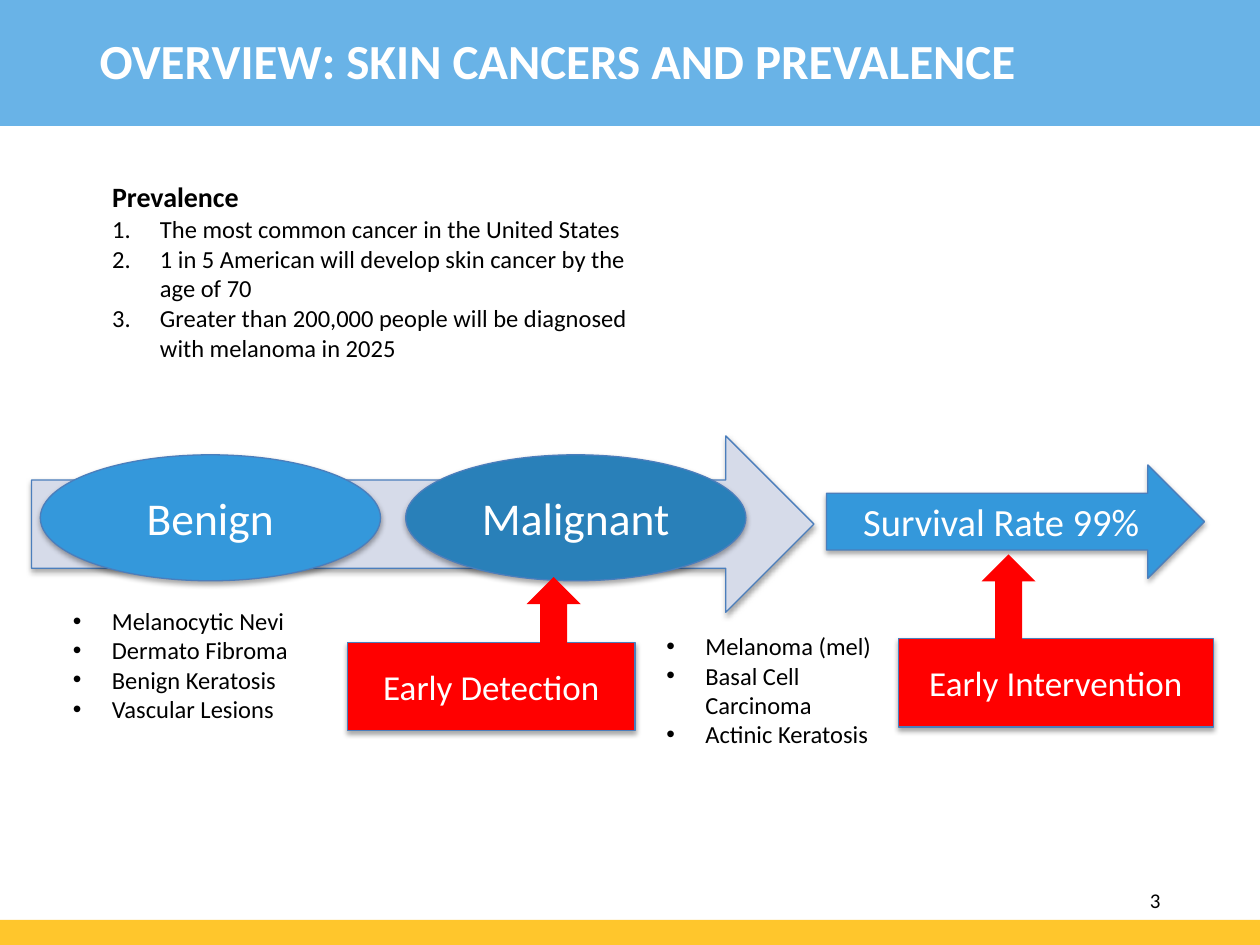
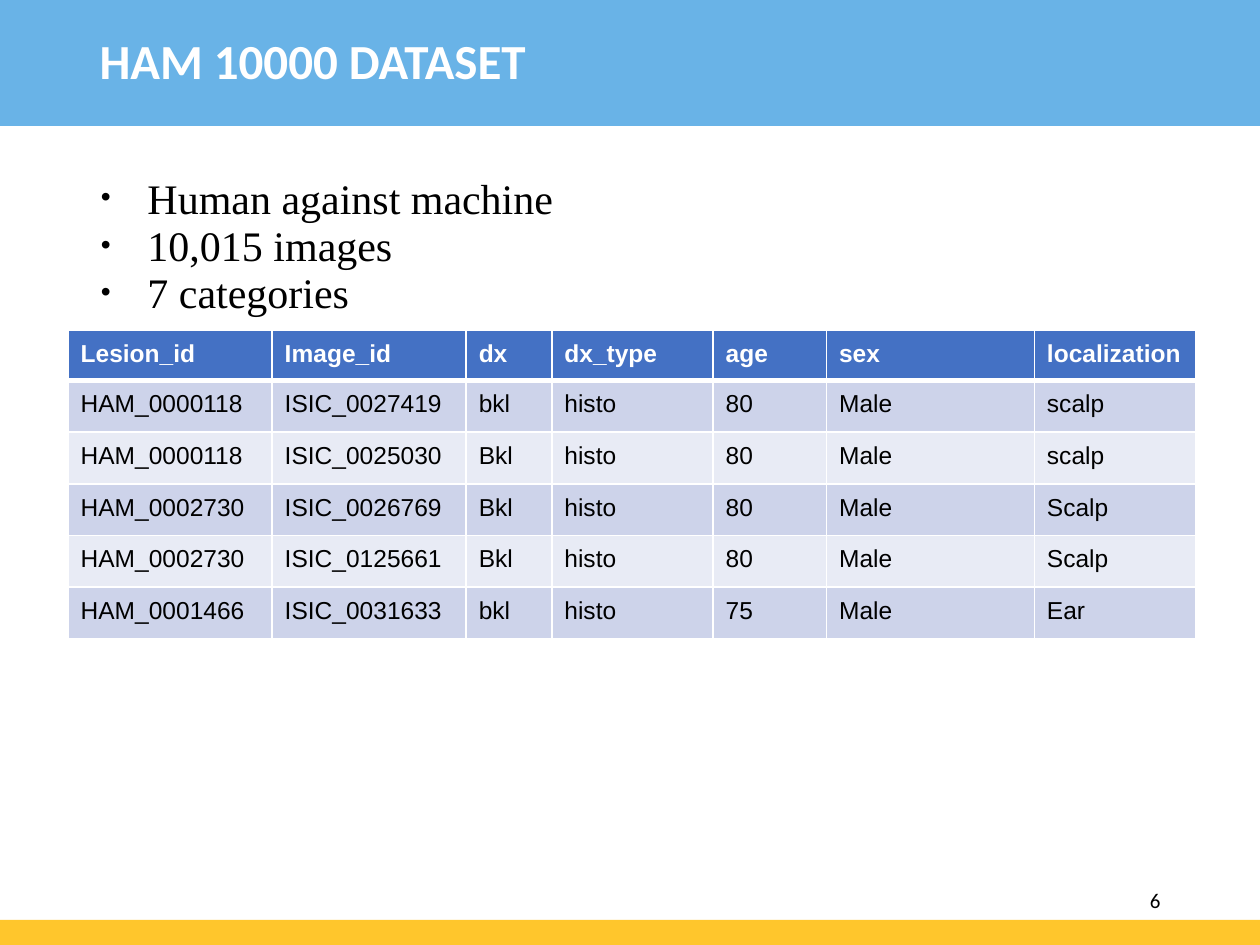
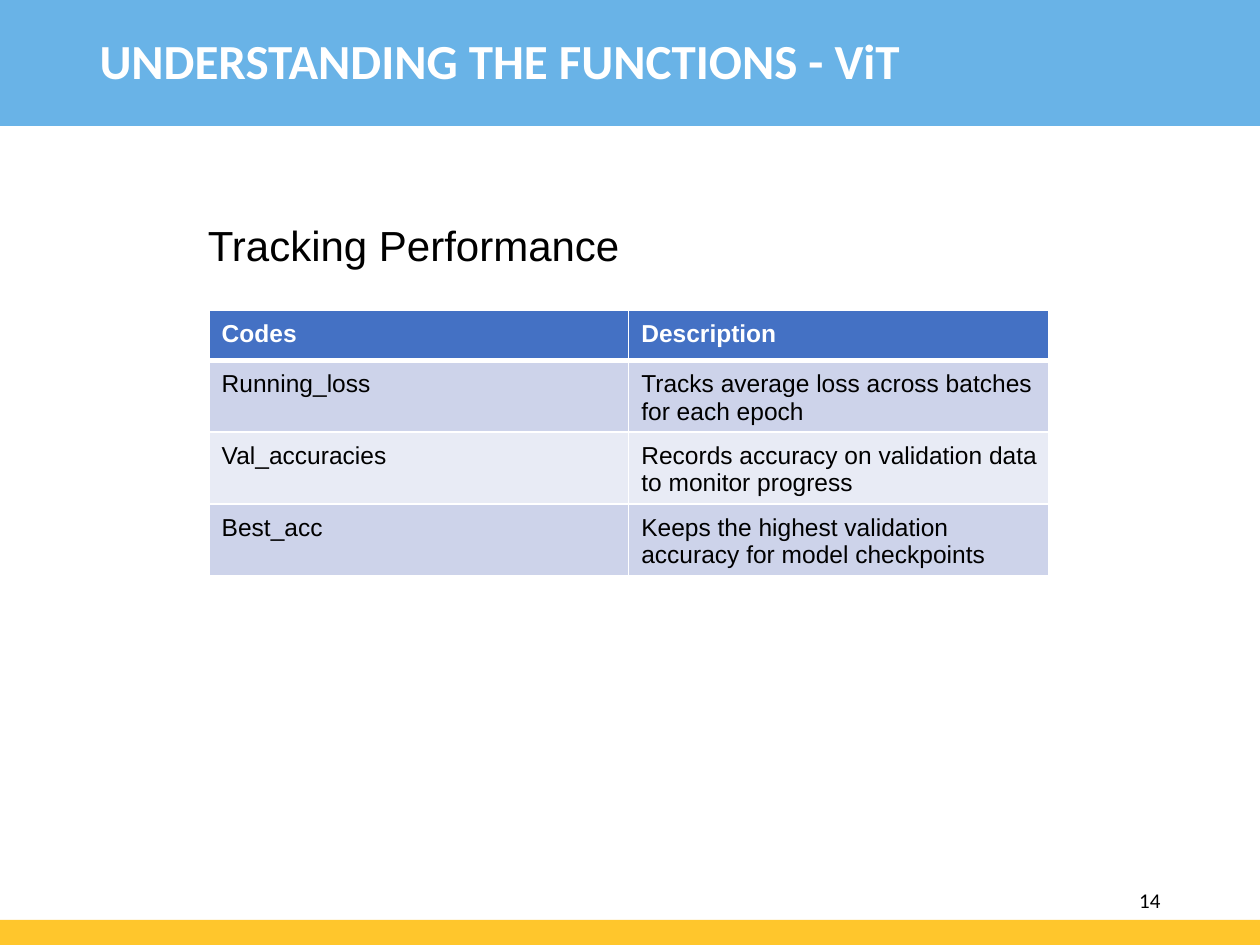
from lxml.etree import SubElement
from pptx import Presentation
from pptx.dml.color import RGBColor
from pptx.enum.shapes import MSO_SHAPE
from pptx.enum.text import MSO_ANCHOR, MSO_AUTO_SIZE, PP_ALIGN
from pptx.oxml.ns import qn
from pptx.util import Inches, Pt

COLORS = {
    "band": "69B3E7", "foot": "FFC62C", "white": "FFFFFF", "black": "000000",
    "edge": "4B7EBC", "pale": "D6DBE9", "sky": "3498DB", "deep": "2980B9",
    "red": "FF0000", "head": "4471C4", "odd": "CDD3EA", "even": "E8EBF5",
}

# Shared bands: top, height, colour
BANDS = [(0, 1, "band"), (7.3, 0.2, "foot")]

# Skin cancer overview
FACTS = [
    "The most common cancer in the United States",
    "1 in 5 American will develop skin cancer by the age of 70",
    "Greater than 200,000 people will be diagnosed with melanoma in 2025",
]
FLOW = [  # kind, box, fill, text, size
    (MSO_SHAPE.RIGHT_ARROW, (0.25, 3.46, 6.21, 1.4), "pale", "", 26),
    (MSO_SHAPE.OVAL, (0.32, 3.61, 2.7, 1), "sky", "Benign", 26),
    (MSO_SHAPE.OVAL, (3.22, 3.61, 2.7, 1), "deep", "Malignant", 26),
    (MSO_SHAPE.RIGHT_ARROW, (6.56, 3.69, 3, 0.9), "sky", "Survival Rate 99%", 22),
    (MSO_SHAPE.RECTANGLE, (2.76, 5.1, 2.28, 0.7), "red", "Early Detection", 20),
    (MSO_SHAPE.RECTANGLE, (7.13, 5.07, 2.5, 0.7), "red", "Early Intervention", 20),
]
POINTERS = [(4.18, 4.58, 0.43, 0.56), (7.79, 4.4, 0.43, 0.7)]
LESIONS = [
    ((0.48, 4.76, 2.8, 1.04),
     ["Melanocytic Nevi", "Dermato Fibroma", "Benign Keratosis", "Vascular Lesions"]),
    ((5.19, 4.96, 1.87, 1.04),
     ["Melanoma (mel)", "Basal Cell Carcinoma", "Actinic Keratosis"]),
]

# Dataset
TRAITS = ["Human against machine", "10,015 images", "7 categories"]
SAMPLES = [
    ("Lesion_id", "Image_id", "dx", "dx_type", "age", "sex", "localization"),
    ("HAM_0000118", "ISIC_0027419", "bkl", "histo", "80", "Male", "scalp"),
    ("HAM_0000118", "ISIC_0025030", "Bkl", "histo", "80", "Male", "scalp"),
    ("HAM_0002730", "ISIC_0026769", "Bkl", "histo", "80", "Male", "Scalp"),
    ("HAM_0002730", "ISIC_0125661", "Bkl", "histo", "80", "Male", "Scalp"),
    ("HAM_0001466", "ISIC_0031633", "bkl", "histo", "75", "Male", "Ear"),
]

# Performance tracking
CODES = [
    ("Codes", "Description"),
    ("Running_loss", "Tracks average loss across batches for each epoch"),
    ("Val_accuracies", "Records accuracy on validation data to monitor progress"),
    ("Best_acc", "Keeps the highest validation\naccuracy for model checkpoints"),
]


def rgb(name):
    return RGBColor.from_string(COLORS[name])


def place(box):
    return [Inches(n) for n in box]


def style(para, size, font="Calibri", color="black", bold=False):
    for run in para.runs:
        run.font.size, run.font.name, run.font.bold = Pt(size), font, bold
        run.font.color.rgb = rgb(color)


def inset(frame, left, top, right, bottom):
    frame.margin_left, frame.margin_top = Inches(left), Inches(top)
    frame.margin_right, frame.margin_bottom = Inches(right), Inches(bottom)


def add_text(slide, box, lines, size, font="Calibri", pad=(0, 0.01, 0, 0)):
    frame = slide.shapes.add_textbox(*place(box)).text_frame
    frame.word_wrap = True
    inset(frame, *pad)
    frame.text = "\n".join(lines)
    for para in frame.paragraphs:
        style(para, size, font)
    return frame


def add_mark(para, left, hang, number=False, scale=None):
    props = para._p.get_or_add_pPr()
    props.set("marL", str(Inches(left)))
    props.set("indent", str(-Inches(hang)))
    if scale:
        SubElement(props, qn("a:buSzPct"), val=str(scale * 1000))
    SubElement(props, qn("a:buFont"), typeface="+mj-lt" if number else "Arial")
    if number:
        SubElement(props, qn("a:buAutoNum"), type="arabicPeriod")
    else:
        SubElement(props, qn("a:buChar"), char="•")


def add_shape(slide, kind, box, fill):
    shape = slide.shapes.add_shape(kind, *place(box))
    shape.shadow.inherit = False
    shape.fill.solid()
    shape.fill.fore_color.rgb = rgb(fill)
    shape.line.fill.background()
    return shape


def add_step(slide, kind, box, fill, text, size):
    shape = add_shape(slide, kind, box, fill)
    shape.line.color.rgb = rgb("edge")
    shape.line.width = Pt(0.75)
    # Soft shadow straight below
    effects = shape.element.spPr.find(qn("a:effectLst"))
    shadow = SubElement(effects, qn("a:outerShdw"), blurRad=str(Pt(3.1)),
                        dist=str(Pt(1.8)), dir="5400000", rotWithShape="0")
    black = SubElement(shadow, qn("a:srgbClr"), val=COLORS["black"])
    SubElement(black, qn("a:alpha"), val="35000")
    if text:
        frame = shape.text_frame
        frame.text = text
        frame.vertical_anchor = MSO_ANCHOR.MIDDLE
        frame.paragraphs[0].alignment = PP_ALIGN.CENTER
        style(frame.paragraphs[0], size, color="white")


def add_borders(cell, top, bottom):
    props = cell._tc.get_or_add_tcPr()
    for side, width in (("L", 1), ("R", 1), ("T", top), ("B", bottom)):
        line = SubElement(props, qn(f"a:ln{side}"), w=str(Pt(width)))
        fill = SubElement(line, qn("a:solidFill"))
        SubElement(fill, qn("a:srgbClr"), val=COLORS["white"])


def add_grid(slide, left, top, widths, heights, rows):
    box = (left, top, sum(widths), sum(heights))
    table = slide.shapes.add_table(len(rows), len(widths), *place(box)).table
    for col, width in zip(table.columns, widths):
        col.width = Inches(width)
    for r, (row, height) in enumerate(zip(rows, heights)):
        table.rows[r].height = Inches(height)
        for c, text in enumerate(row):
            cell = table.cell(r, c)
            cell.text = text
            inset(cell, 0.1, 0.08, 0, 0)
            add_borders(cell, 3 if r == 1 else 1, 3 if r == 0 else 1)
            cell.fill.solid()
            tint = "head" if r == 0 else "odd" if r % 2 else "even"
            cell.fill.fore_color.rgb = rgb(tint)
            for para in cell.text_frame.paragraphs:
                style(para, 14, "Arial", "black" if r else "white", r == 0)


def add_slide(deck, title, number):
    slide = deck.slides.add_slide(deck.slide_layouts[5])
    head = slide.shapes.title
    head.left, head.top, head.width, head.height = place((0.7, 0.22, 7.9, 0.48))
    frame = head.text_frame
    frame.text = title
    frame.auto_size = MSO_AUTO_SIZE.NONE
    frame.vertical_anchor = MSO_ANCHOR.TOP
    inset(frame, 0.09, 0.02, 0, 0)
    frame.paragraphs[0].alignment = PP_ALIGN.LEFT
    style(frame.paragraphs[0], 28, color="white", bold=True)
    page = add_text(slide, (9, 7.07, 0.27, 0.2), [str(number)], 12, pad=(0, 0, 0.06, 0))
    page.paragraphs[0].alignment = PP_ALIGN.RIGHT
    page.paragraphs[0].line_spacing = Pt(12.4)
    return slide


def add_bands(deck, slide):
    # Moved to the master so that every slide shows them
    for top, height, color in BANDS:
        band = add_shape(slide, MSO_SHAPE.RECTANGLE, (0, top, 10, height), color)
        deck.slide_master.shapes.element.insert(2, band.element)


def show_overview(slide):
    frame = add_text(slide, (0.88, 1.42, 4.15, 1.45), ["Prevalence", *FACTS], 14,
                     pad=(0.01, 0.01, 0, 0))
    head, *facts = frame.paragraphs
    style(head, 16, bold=True)
    head.line_spacing = Pt(19)
    for para in facts:
        add_mark(para, 0.38, 0.38, number=True)
        para.line_spacing = Pt(17)
    for step in FLOW:
        add_step(slide, *step)
    for box, names in LESIONS:
        frame = add_text(slide, box, names, 14, pad=(0.1, 0.05, 0.1, 0.05))
        for para in frame.paragraphs:
            add_mark(para, 0.31, 0.31)
    for box in POINTERS:
        add_shape(slide, MSO_SHAPE.UP_ARROW, box, "red")


def show_dataset(slide):
    frame = add_text(slide, (0.78, 1.38, 3.62, 1.15), TRAITS, 24, "Times New Roman")
    for para in frame.paragraphs:
        add_mark(para, 0.39, 0.37, scale=67)
        para.line_spacing = Pt(27)
    widths = [1.62, 1.54, 0.68, 1.28, 0.9, 1.65, 1.28]
    add_grid(slide, 0.54, 2.62, widths, [0.4] + [0.41] * 5, SAMPLES)


def show_tracking(slide):
    add_grid(slide, 1.66, 2.46, [3.33] * 2, [0.4] + [0.57] * 3, CODES)
    add_text(slide, (1.64, 1.72, 3.4, 0.43), ["Tracking Performance"], 24, "Arial",
             (0.01, 0.02, 0, 0))


def main():
    deck = Presentation()
    deck.slide_width, deck.slide_height = Inches(10), Inches(7.5)
    overview = add_slide(deck, "OVERVIEW: SKIN CANCERS AND PREVALENCE", 3)
    add_bands(deck, overview)
    show_overview(overview)
    show_dataset(add_slide(deck, "HAM 10000 DATASET", 6))
    show_tracking(add_slide(deck, "UNDERSTANDING THE FUNCTIONS - ViT", 14))
    deck.save("out.pptx")


if __name__ == "__main__":
    main()
